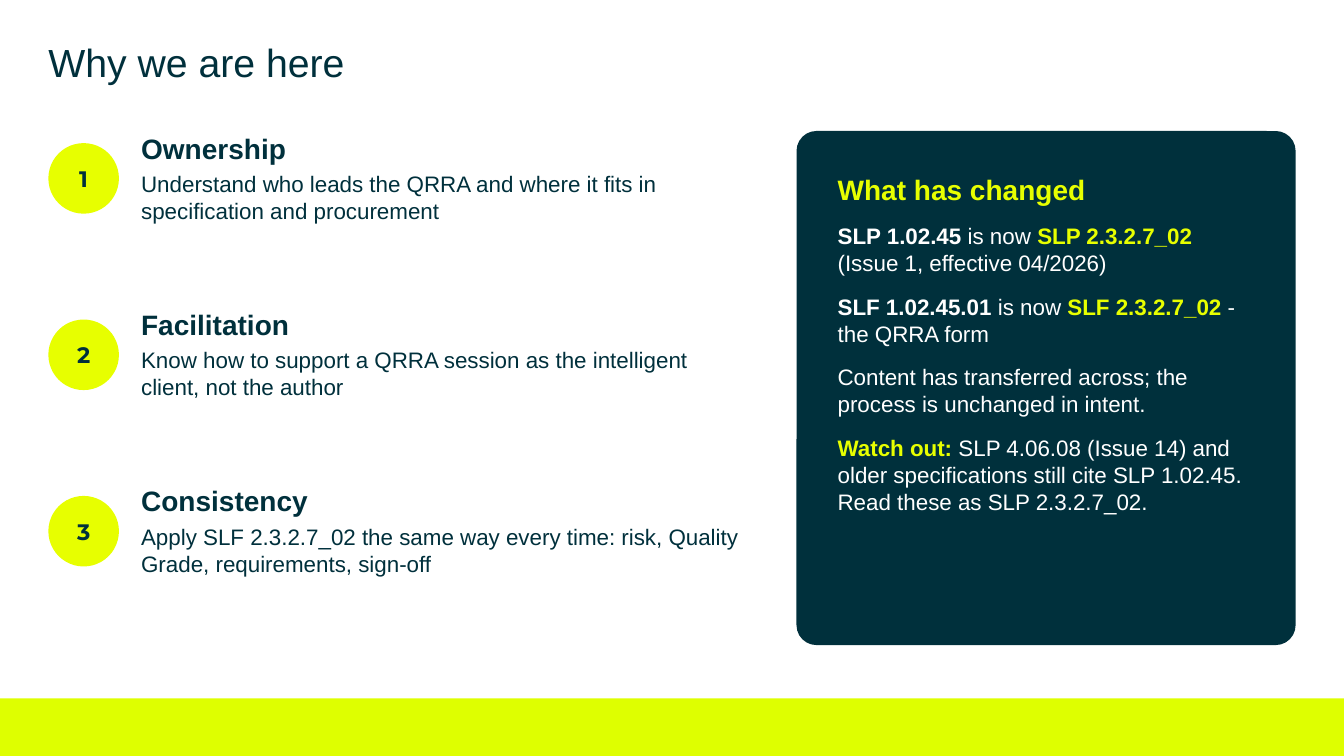
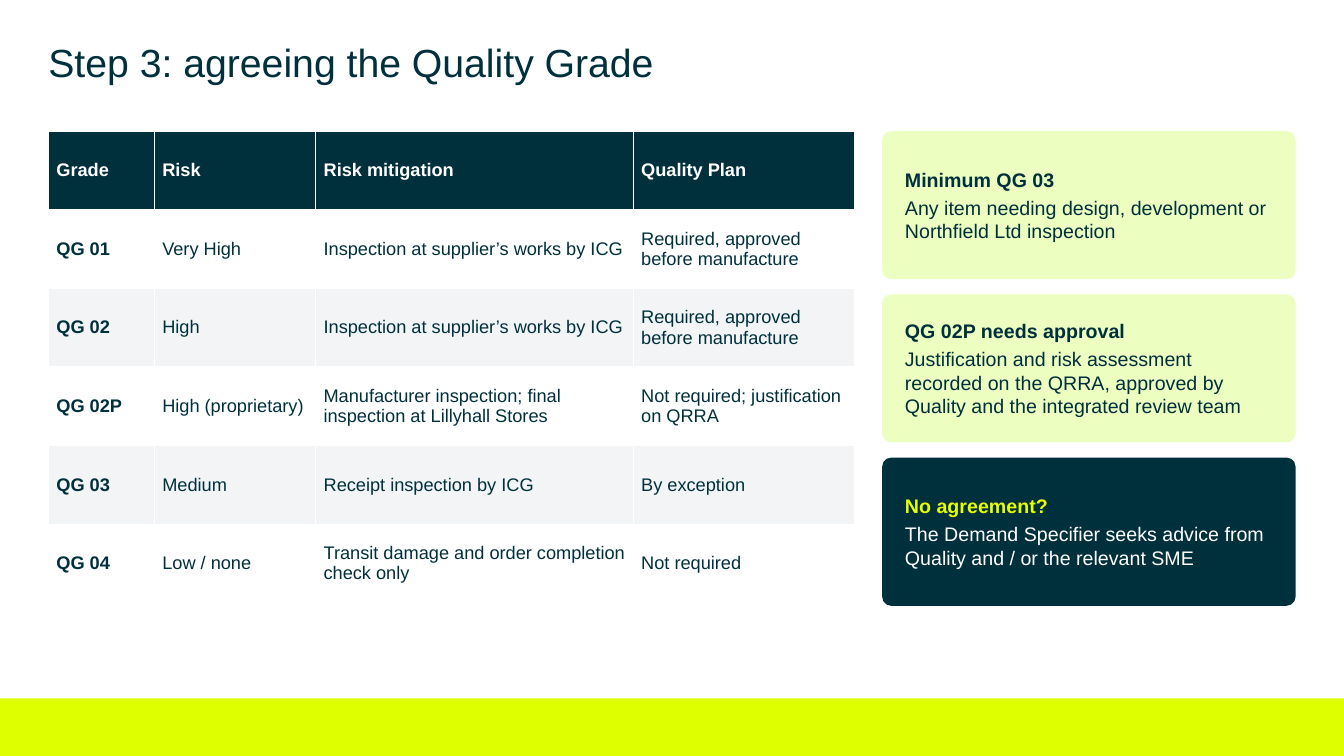
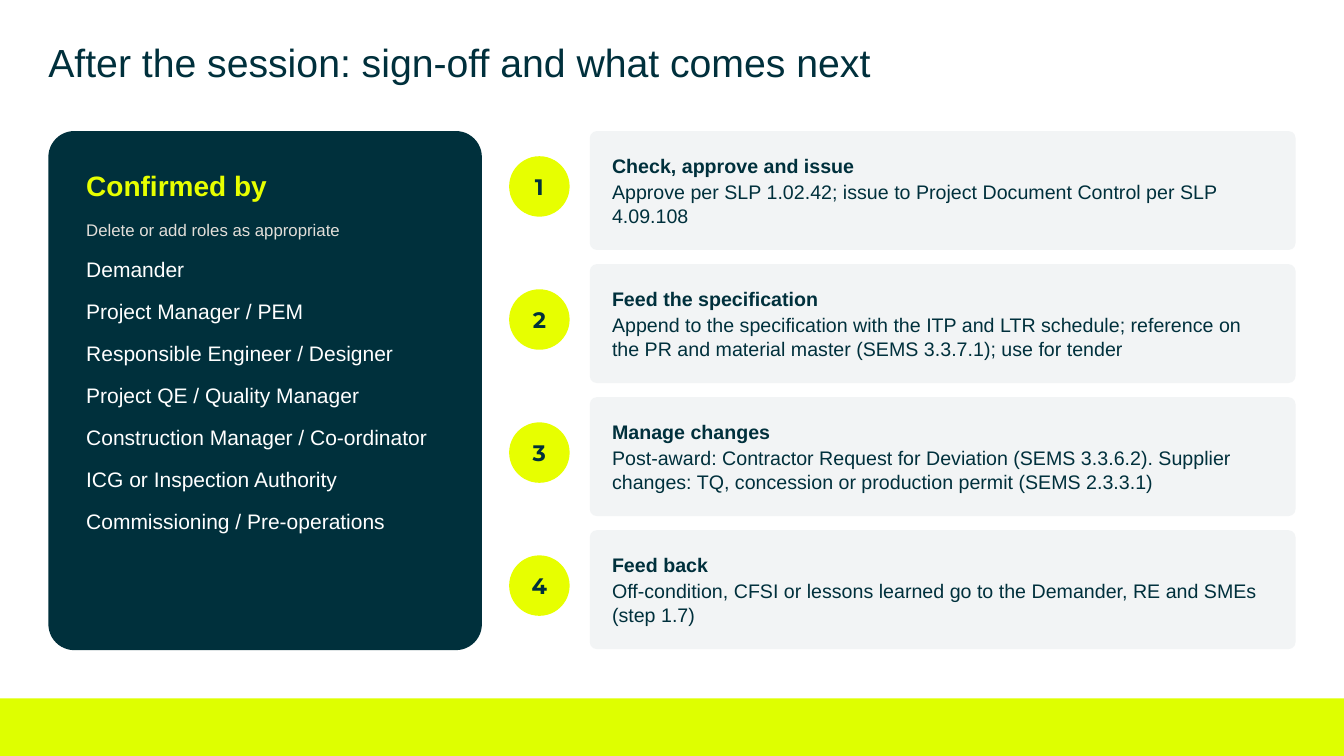
from dataclasses import dataclass
from typing import NamedTuple

from lxml.etree import SubElement
from pptx import Presentation
from pptx.dml.color import RGBColor
from pptx.enum.shapes import MSO_SHAPE
from pptx.enum.text import MSO_ANCHOR, MSO_AUTO_SIZE, PP_ALIGN
from pptx.oxml.ns import qn
from pptx.util import Emu, Pt

EMU_PER_PX = 9144
SLIDE_W, SLIDE_H = 1333, 750
MARGIN, CONTENT_TOP = 48, 130
BAND_H = 57

COLORS = {
    "navy": "00303C",
    "lime": "E7FF00",
    "band": "DEFF00",
    "pale_lime": "ECFFC0",
    "mist": "F2F4F5",
    "sand": "E2DED9",
    "white": "FFFFFF",
}


class Run(NamedTuple):
    text: str
    size: int = 16
    color: str = "navy"
    bold: bool = False
    font: str = "Arial"


class Box(NamedTuple):
    left: int
    top: int
    width: int
    height: int


class Topic(NamedTuple):
    heading: str
    detail: str


class Note(NamedTuple):
    topic: Topic
    fill: str = "pale_lime"
    heading_color: str = "navy"
    detail_color: str = "navy"


@dataclass(frozen=True)
class TextStyle:
    inset: int = 0
    space_after: int = 4
    anchor: MSO_ANCHOR = MSO_ANCHOR.TOP
    align: PP_ALIGN = PP_ALIGN.LEFT


Paragraphs = list[list[Run]]

GOALS = [
    Topic("Ownership", "Understand who leads the QRRA and where it fits in specification and procurement"),
    Topic("Facilitation", "Know how to support a QRRA session as the intelligent client, not the author"),
    Topic("Consistency", "Apply SLF 2.3.2.7_02 the same way every time: risk, Quality Grade, requirements, sign-off"),
]

CHANGES = [
    [Run("What has changed", 20, "lime", True)],
    [
        Run("SLP 1.02.45", color="white", bold=True),
        Run(" is now ", color="white"),
        Run("SLP 2.3.2.7_02", color="lime", bold=True),
        Run(" (Issue 1, effective 04/2026)", color="white"),
    ],
    [
        Run("SLF 1.02.45.01", color="white", bold=True),
        Run(" is now ", color="white"),
        Run("SLF 2.3.2.7_02", color="lime", bold=True),
        Run(" - the QRRA form", color="white"),
    ],
    [Run("Content has transferred across; the process is unchanged in intent.", color="white")],
    [
        Run("Watch out: ", color="lime", bold=True),
        Run(
            "SLP 4.06.08 (Issue 14) and older specifications still cite SLP 1.02.45. "
            "Read these as SLP 2.3.2.7_02.",
            color="white",
        ),
    ],
]

GRADE_COLUMNS = [105, 160, 315, 220]
GRADE_ROW_H = 78
GRADES = [
    ("Grade", "Risk", "Risk mitigation", "Quality Plan"),
    ("QG 01", "Very High", "Inspection at supplier’s works by ICG", "Required, approved before manufacture"),
    ("QG 02", "High", "Inspection at supplier’s works by ICG", "Required, approved before manufacture"),
    (
        "QG 02P",
        "High (proprietary)",
        "Manufacturer inspection; final inspection at Lillyhall Stores",
        "Not required; justification on QRRA",
    ),
    ("QG 03", "Medium", "Receipt inspection by ICG", "By exception"),
    ("QG 04", "Low / none", "Transit damage and order completion check only", "Not required"),
]

GRADE_NOTES = [
    Note(Topic("Minimum QG 03", "Any item needing design, development or Northfield Ltd inspection")),
    Note(
        Topic(
            "QG 02P needs approval",
            "Justification and risk assessment recorded on the QRRA, "
            "approved by Quality and the integrated review team",
        )
    ),
    Note(
        Topic("No agreement?", "The Demand Specifier seeks advice from Quality and / or the relevant SME"),
        "navy",
        "lime",
        "white",
    ),
]

SIGNATORIES = [
    "Demander",
    "Project Manager / PEM",
    "Responsible Engineer / Designer",
    "Project QE / Quality Manager",
    "Construction Manager / Co-ordinator",
    "ICG or Inspection Authority",
    "Commissioning / Pre-operations",
]

NEXT_STEPS = [
    Topic(
        "Check, approve and issue",
        "Approve per SLP 1.02.42; issue to Project Document Control per SLP 4.09.108",
    ),
    Topic(
        "Feed the specification",
        "Append to the specification with the ITP and LTR schedule; "
        "reference on the PR and material master (SEMS 3.3.7.1); use for tender",
    ),
    Topic(
        "Manage changes",
        "Post-award: Contractor Request for Deviation (SEMS 3.3.6.2). "
        "Supplier changes: TQ, concession or production permit (SEMS 2.3.3.1)",
    ),
    Topic("Feed back", "Off-condition, CFSI or lessons learned go to the Demander, RE and SMEs (step 1.7)"),
]


def px(length: int) -> Emu:
    return Emu(length * EMU_PER_PX)


def rgb(name: str) -> RGBColor:
    return RGBColor.from_string(COLORS[name])


def apply(target, values: dict) -> None:
    for attribute, value in values.items():
        setattr(target, attribute, value)


def margins(horizontal: int, vertical: int) -> dict:
    return {
        "margin_left": px(horizontal),
        "margin_right": px(horizontal),
        "margin_top": px(vertical),
        "margin_bottom": px(vertical),
    }


def add_run(paragraph, content: Run) -> None:
    run = paragraph.add_run()
    run.text = content.text
    apply(run.font, {"size": Pt(content.size), "name": content.font, "bold": content.bold})
    run.font.color.rgb = rgb(content.color)


def write(frame, paragraphs: Paragraphs, style: TextStyle) -> None:
    apply(
        frame,
        {
            "word_wrap": True,
            "auto_size": MSO_AUTO_SIZE.NONE,
            "vertical_anchor": style.anchor,
            **margins(style.inset, style.inset),
        },
    )
    for index, runs in enumerate(paragraphs):
        paragraph = frame.add_paragraph() if index else frame.paragraphs[0]
        apply(paragraph, {"alignment": style.align, "space_after": Pt(style.space_after)})
        for run in runs:
            add_run(paragraph, run)


def topic_text(
    topic: Topic, heading_size: int, detail_size: int, heading_color: str = "navy", detail_color: str = "navy"
) -> Paragraphs:
    return [
        [Run(topic.heading, heading_size, heading_color, True)],
        [Run(topic.detail, detail_size, detail_color)],
    ]


def add_filled(slide, kind: MSO_SHAPE, box: Box, fill: str):
    shape = slide.shapes.add_shape(kind, *map(px, box))
    shape.shadow.inherit = False
    shape.fill.solid()
    shape.fill.fore_color.rgb = rgb(fill)
    shape.line.fill.background()
    return shape


def add_card(
    slide, box: Box, fill: str, paragraphs: Paragraphs, style: TextStyle, radius: float = 0.06
) -> None:
    card = add_filled(slide, MSO_SHAPE.ROUNDED_RECTANGLE, box, fill)
    card.adjustments[0] = radius
    write(card.text_frame, paragraphs, style)


def add_badge(slide, left: int, top: int, size: int, number: int) -> None:
    badge = add_filled(slide, MSO_SHAPE.OVAL, Box(left, top, size, size), "lime")
    label = Run(str(number), bold=True, font="Montserrat")
    write(badge.text_frame, [[label]], TextStyle(anchor=MSO_ANCHOR.MIDDLE, align=PP_ALIGN.CENTER))


def prepare_layout(deck):
    """Place the title on the title-only layout."""
    layout = deck.slide_layouts[5]
    title = layout.placeholders[0]
    apply(title, {"left": px(MARGIN), "top": px(43), "width": px(921), "height": px(37)})
    apply(
        title.text_frame,
        {"vertical_anchor": MSO_ANCHOR.TOP, "auto_size": MSO_AUTO_SIZE.NONE, **margins(0, 0)},
    )
    return layout


def add_titled_slide(deck, layout, title: str):
    slide = deck.slides.add_slide(layout)
    add_filled(slide, MSO_SHAPE.RECTANGLE, Box(0, SLIDE_H - BAND_H, SLIDE_W, BAND_H), "band")
    heading = slide.shapes.title.text_frame.paragraphs[0]
    apply(heading, {"alignment": PP_ALIGN.LEFT, "line_spacing": 0.9})
    add_run(heading, Run(title, 28))
    return slide


def set_cell_borders(cell, color: str) -> None:
    """Add one-point borders; they must come before the cell's fill."""
    properties = cell._tc.get_or_add_tcPr()
    for side in ("lnL", "lnR", "lnT", "lnB"):
        line = SubElement(properties, qn(f"a:{side}"), w=str(Pt(1)))
        SubElement(SubElement(line, qn("a:solidFill")), qn("a:srgbClr"), val=COLORS[color])


def add_grade_table(slide) -> None:
    box = Box(MARGIN, CONTENT_TOP, sum(GRADE_COLUMNS), GRADE_ROW_H * len(GRADES))
    table = slide.shapes.add_table(len(GRADES), len(GRADE_COLUMNS), *map(px, box)).table
    for column, width in zip(table.columns, GRADE_COLUMNS):
        column.width = px(width)
    for row_index, entries in enumerate(GRADES):
        is_header = row_index == 0
        fill = "navy" if is_header else ("mist", "white")[row_index % 2]
        for column_index, entry in enumerate(entries):
            cell = table.cell(row_index, column_index)
            set_cell_borders(cell, "white")
            cell.fill.solid()
            cell.fill.fore_color.rgb = rgb(fill)
            apply(cell, {"vertical_anchor": MSO_ANCHOR.MIDDLE, **margins(8, 4)})
            color = "white" if is_header else "navy"
            add_run(cell.text_frame.paragraphs[0], Run(entry, 13, color, is_header or column_index == 0))


def build_purpose(deck, layout) -> None:
    slide = add_titled_slide(deck, layout, "Why we are here")
    for index, goal in enumerate(GOALS):
        top = CONTENT_TOP + index * 175
        add_badge(slide, MARGIN, top + 12, 70, index + 1)
        goal_box = slide.shapes.add_textbox(*map(px, Box(140, top, 600, 140)))
        write(goal_box.text_frame, topic_text(goal, 20, 16), TextStyle())
    add_card(
        slide, Box(790, CONTENT_TOP, 495, 510), "navy", CHANGES, TextStyle(inset=35, space_after=12), 0.04
    )


def build_grades(deck, layout) -> None:
    slide = add_titled_slide(deck, layout, "Step 3: agreeing the Quality Grade")
    add_grade_table(slide)
    style = TextStyle(inset=20, space_after=3, anchor=MSO_ANCHOR.MIDDLE)
    for index, note in enumerate(GRADE_NOTES):
        box = Box(875, CONTENT_TOP + index * 162, 410, 147)
        text = topic_text(note.topic, 14, 14, note.heading_color, note.detail_color)
        add_card(slide, box, note.fill, text, style)


def build_sign_off(deck, layout) -> None:
    slide = add_titled_slide(deck, layout, "After the session: sign-off and what comes next")
    confirmation = [
        [Run("Confirmed by", 20, "lime", True)],
        [Run("Delete or add roles as appropriate", 12, "sand")],
        *([Run(role, 15, "white")] for role in SIGNATORIES),
    ]
    add_card(
        slide, Box(MARGIN, CONTENT_TOP, 430, 515), "navy", confirmation, TextStyle(inset=30, space_after=12)
    )
    style = TextStyle(inset=20, space_after=2, anchor=MSO_ANCHOR.MIDDLE)
    for index, step in enumerate(NEXT_STEPS):
        top = CONTENT_TOP + index * 132
        add_badge(slide, 505, top + 25, 60, index + 1)
        add_card(slide, Box(585, top, 700, 118), "mist", topic_text(step, 14, 14), style)


def main() -> None:
    deck = Presentation()
    apply(deck, {"slide_width": px(SLIDE_W), "slide_height": px(SLIDE_H)})
    layout = prepare_layout(deck)
    for build in (build_purpose, build_grades, build_sign_off):
        build(deck, layout)
    deck.save("out.pptx")


if __name__ == "__main__":
    main()
